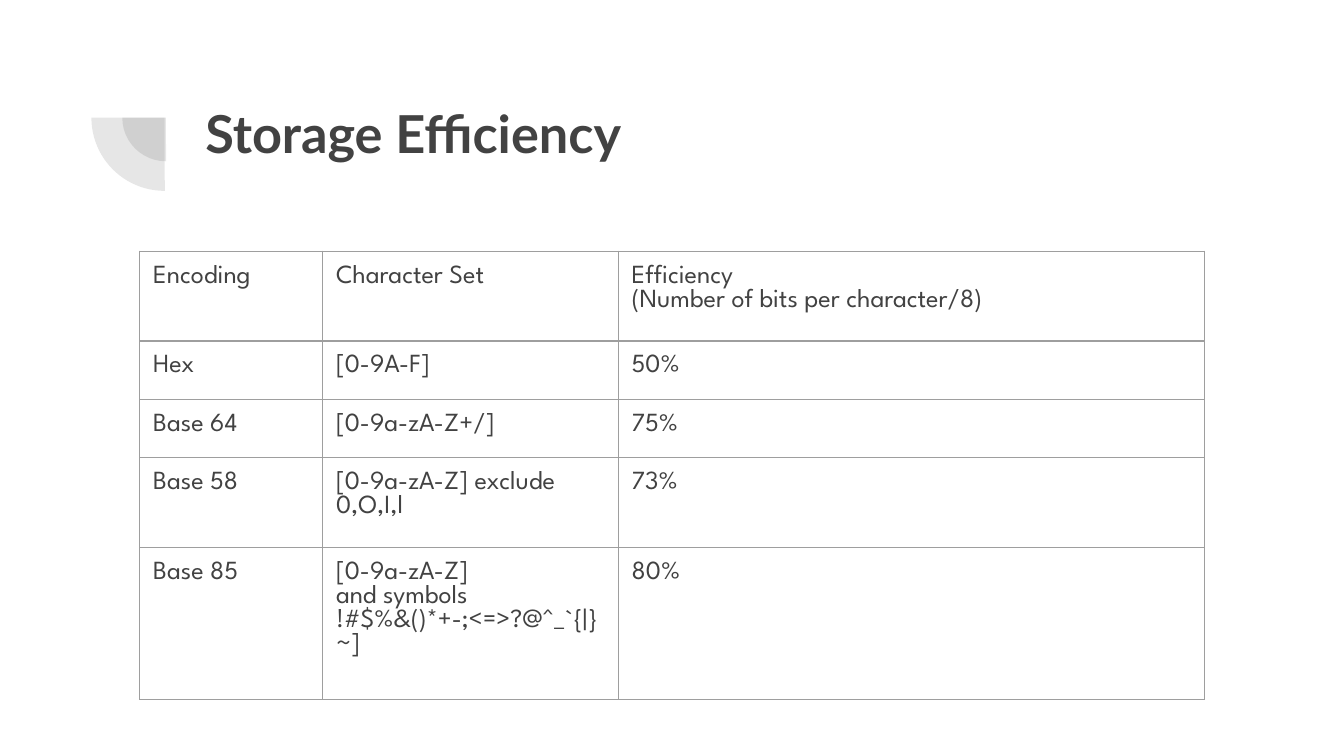
from typing import NamedTuple

from lxml.etree import SubElement
from pptx import Presentation
from pptx.dml.color import RGBColor
from pptx.enum.shapes import MSO_SHAPE
from pptx.enum.text import MSO_ANCHOR
from pptx.oxml.ns import qn
from pptx.util import Inches, Pt

INK = "424242"
GRID = "9E9E9E"
MARGIN = Inches(0.1)


class Encoding(NamedTuple):
    name: str
    characters: str
    efficiency: str


class Quadrant(NamedTuple):
    left: float
    top: float
    size: float


ENCODINGS = [
    Encoding("Encoding", "Character Set", "Efficiency\n(Number of bits per character/8)"),
    Encoding("Hex", "[0-9A-F]", "50%"),
    Encoding("Base 64", "[0-9a-zA-Z+/]", "75%"),
    Encoding("Base 58", "[0-9a-zA-Z] exclude 0,O,I,l", "73%"),
    Encoding("Base 85", "[0-9a-zA-Z]\nand symbols\n!#$%&()*+-;<=>?@^_`{|}~]", "80%"),
]
QUADRANTS = [Quadrant(0.91, 0.55, 0.65), Quadrant(0.68, 0.33, 1.09)]
COLUMN_WIDTHS = [1.36, 2.2, 4.36]
ROW_HEIGHT = 0.42


def paint(color_format, color: str) -> None:
    color_format.rgb = RGBColor.from_string(color)


def set_margins(target) -> None:
    target.margin_left = target.margin_right = MARGIN
    target.margin_top = target.margin_bottom = MARGIN


def write(frame, text: str, font: str, size: float, bold: bool = False) -> None:
    for index, line in enumerate(text.split("\n")):
        paragraph = frame.add_paragraph() if index else frame.paragraphs[0]
        run = paragraph.add_run()
        run.text = line
        run.font.name = font
        run.font.size = Pt(size)
        run.font.bold = bold
        paint(run.font.color, INK)
        for script in ("ea", "cs"):
            SubElement(run.font._rPr, qn(f"a:{script}"), typeface=font)


def draw_quadrant(slide, quadrant: Quadrant) -> None:
    size = Inches(quadrant.size)
    pie = slide.shapes.add_shape(
        MSO_SHAPE.PIE, Inches(quadrant.left), Inches(quadrant.top), size, size
    )
    pie.adjustments[0] = 107.93
    pie.adjustments[1] = 162
    pie.rotation = 270
    pie.shadow.inherit = False
    pie.line.fill.background()
    pie.fill.solid()
    paint(pie.fill.fore_color, INK)
    ink = next(pie.fill._xPr.iter(qn("a:srgbClr")))
    SubElement(ink, qn("a:alpha"), val="13000")


def draw_title(slide, text: str) -> None:
    title = slide.shapes.add_textbox(Inches(1.43), Inches(0.65), Inches(7.69), Inches(1.09))
    frame = title.text_frame
    frame.word_wrap = True
    frame.vertical_anchor = MSO_ANCHOR.TOP
    set_margins(frame)
    write(frame, text, "Lato", 28, bold=True)


def add_borders(cell) -> None:
    properties = cell._tc.get_or_add_tcPr()
    for position, side in enumerate(("lnL", "lnR", "lnT", "lnB")):
        border = SubElement(properties, qn(f"a:{side}"), w=str(Pt(0.75)))
        fill = SubElement(border, qn("a:solidFill"))
        SubElement(fill, qn("a:srgbClr"), val=GRID)
        properties.insert(position, border)


def draw_table(slide, encodings: list[Encoding]) -> None:
    table = slide.shapes.add_table(
        len(encodings),
        len(COLUMN_WIDTHS),
        Inches(1.04),
        Inches(1.87),
        Inches(sum(COLUMN_WIDTHS)),
        Inches(ROW_HEIGHT * len(encodings)),
    ).table
    table.first_row = table.horz_banding = False
    for column, width in zip(table.columns, COLUMN_WIDTHS):
        column.width = Inches(width)
    for row, encoding in zip(table.rows, encodings):
        row.height = Inches(ROW_HEIGHT)
        for cell, text in zip(row.cells, encoding):
            set_margins(cell)
            cell.vertical_anchor = MSO_ANCHOR.TOP
            cell.fill.background()
            add_borders(cell)
            write(cell.text_frame, text, "League Spartan", 14)


def main() -> None:
    deck = Presentation()
    deck.slide_width = Inches(10)
    deck.slide_height = Inches(10 * 9 / 16)
    slide = deck.slides.add_slide(deck.slide_layouts[6])
    for quadrant in QUADRANTS:
        draw_quadrant(slide, quadrant)
    draw_title(slide, "Storage Efficiency")
    draw_table(slide, ENCODINGS)
    deck.save("out.pptx")


if __name__ == "__main__":
    main()
